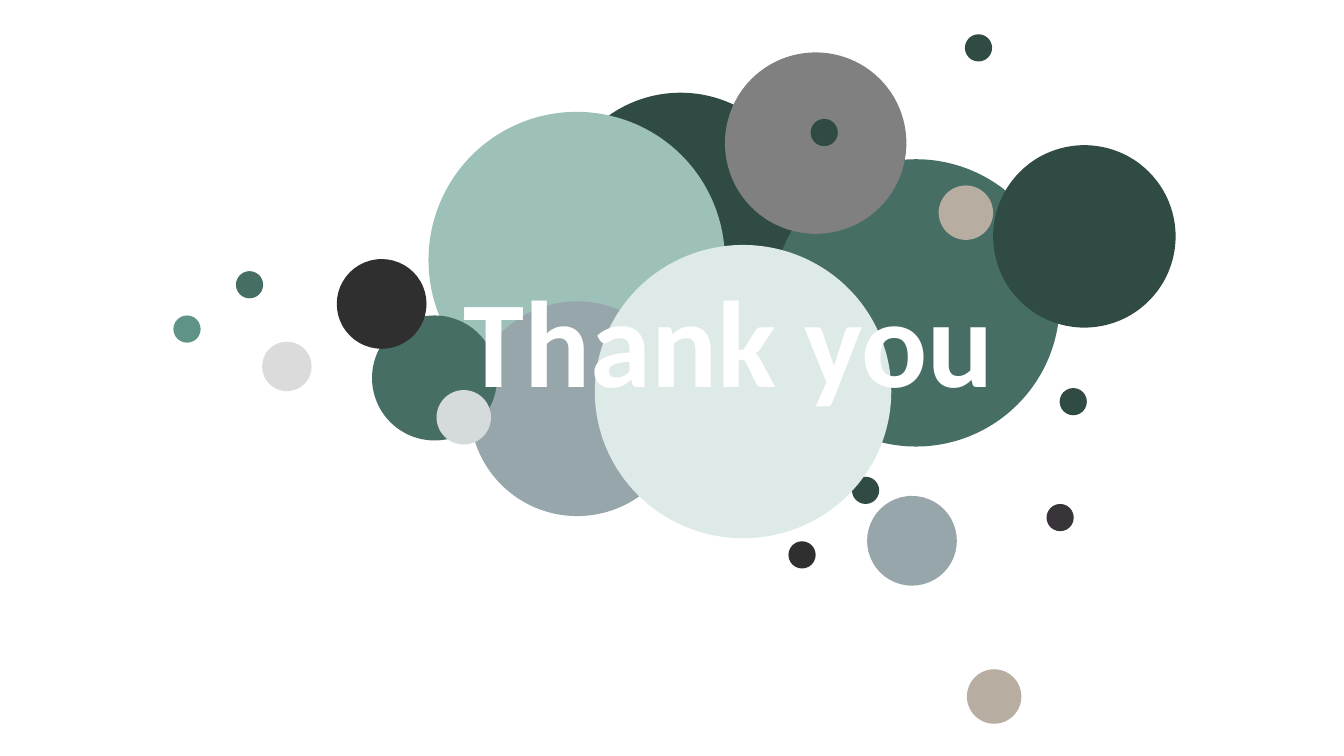
from pptx import Presentation
from pptx.dml.color import RGBColor
from pptx.enum.shapes import MSO_SHAPE
from pptx.enum.text import MSO_ANCHOR, MSO_AUTO_SIZE, PP_ALIGN
from pptx.util import Inches, Pt

OVAL = MSO_SHAPE.OVAL
TOP = MSO_ANCHOR.TOP
LEFT = PP_ALIGN.LEFT
FIXED = MSO_AUTO_SIZE.NONE

COLORS = {
    "forest": "304A44",
    "green": "476E65",
    "teal": "5F9387",
    "mint": "9DC0B8",
    "pale": "DEEAE7",
    "slate": "97A6AB",
    "mist": "D5DBDD",
    "gray": "808080",
    "silver": "DBDBDB",
    "coal": "2F2F2F",
    "plum": "393439",
    "sand": "B7ADA0",
    "white": "FFFFFF",
}
DOT, BEAD, BALL = 0.27, 0.54, 0.89

# Bubbles from back to front: left, top, width, height, color
BUBBLES = [
    (5.52, 0.92, 2.46, 2.46, "forest"),
    (4.25, 1.11, 2.94, 2.94, "mint"),
    (4.66, 2.99, 2.13, 2.13, "slate"),
    (7.66, 1.58, 2.85, 2.85, "green"),
    (7.19, 0.52, 1.8, 1.8, "gray"),
    (3.69, 3.13, 1.24, 1.24, "green"),
    (8.6, 4.92, BALL, BALL, "slate"),
    (8.45, 4.73, DOT, DOT, "forest"),
    (7.82, 5.37, DOT, DOT, "coal"),
    (10.38, 5, DOT, DOT, "plum"),
    (9.59, 6.64, BEAD, BEAD, "sand"),
    (9.85, 1.44, 1.81, 1.81, "forest"),
    (3.34, 2.57, BALL, BALL, "coal"),
    (2.6, 3.39, 0.49, 0.49, "silver"),
    (2.34, 2.69, DOT, DOT, "green"),
    (1.72, 3.13, DOT, DOT, "teal"),
    (4.33, 3.87, BEAD, BEAD, "mist"),
    (8.04, 1.18, DOT, DOT, "forest"),
    (10.51, 3.85, DOT, DOT, "forest"),
    (9.57, 0.34, DOT, DOT, "forest"),
    (9.31, 1.84, BEAD, BEAD, "sand"),
    (5.9, 2.43, 2.94, 2.91, "pale"),
]

# Slide
prs = Presentation()
prs.slide_width, prs.slide_height = Inches(13.33), Inches(7.5)
slide = prs.slides.add_slide(prs.slide_layouts[5])
slide.background.fill.solid()
slide.background.fill.fore_color.rgb = RGBColor.from_string(COLORS["white"])

# Bubble cloud
for left, top, width, height, color in BUBBLES:
    bubble = slide.shapes.add_shape(
        OVAL, Inches(left), Inches(top), Inches(width), Inches(height))
    bubble.shadow.inherit = False
    bubble.fill.solid()
    bubble.fill.fore_color.rgb = RGBColor.from_string(COLORS[color])
    bubble.line.fill.background()

# Title, moved in front of the bubbles
title = slide.shapes.title
title.left, title.top = Inches(4.5), Inches(2.57)
title.width, title.height = Inches(6.16), Inches(1.58)
title.element.getparent().append(title.element)
frame = title.text_frame
frame.text = "Thank you"
frame.word_wrap = True
frame.auto_size = FIXED
frame.vertical_anchor = TOP
line = frame.paragraphs[0]
line.alignment = LEFT
font = line.runs[0].font
font.name, font.size, font.bold = "Calibri", Pt(88), True
font.color.rgb = RGBColor.from_string(COLORS["white"])

prs.save("out.pptx")
